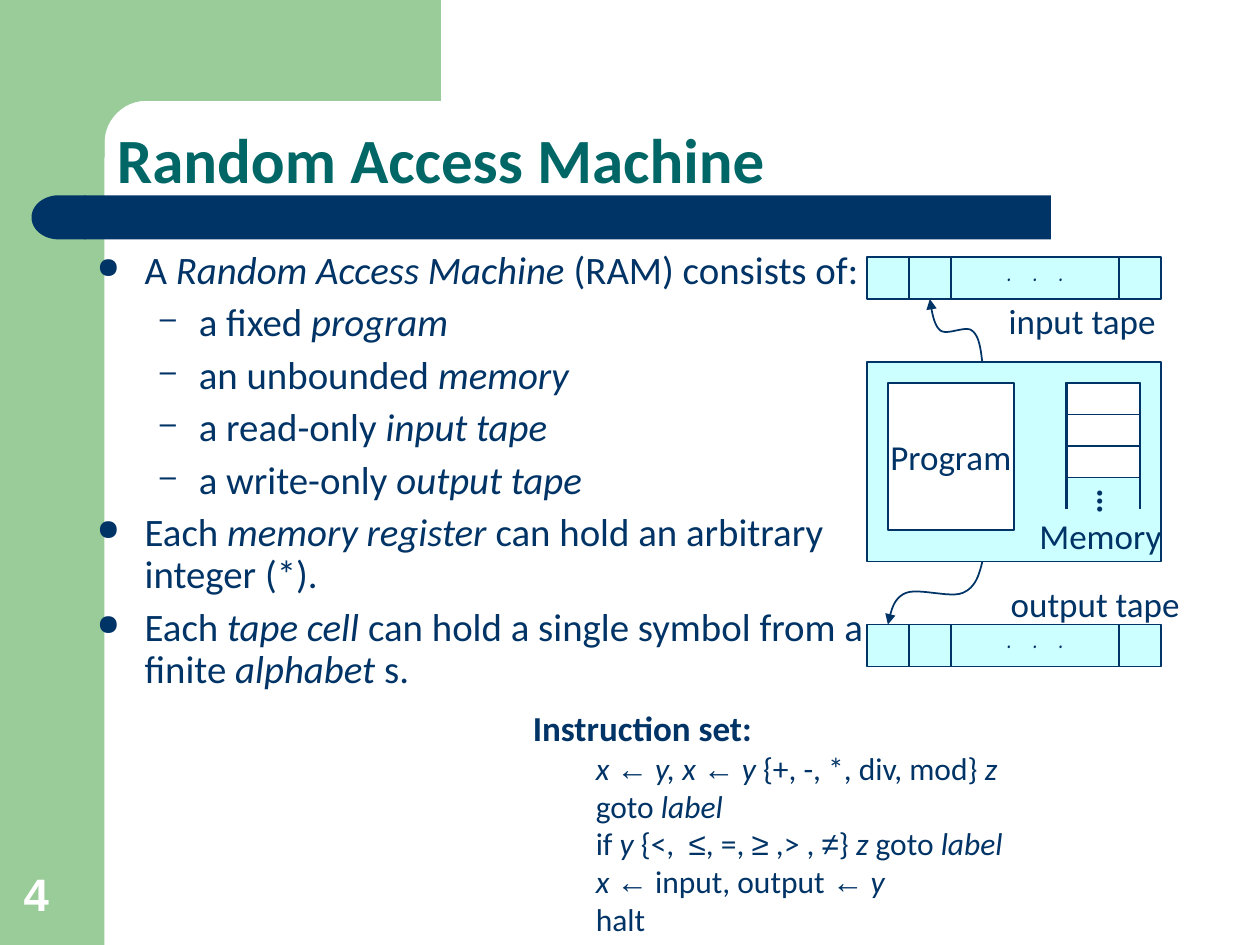
from itertools import groupby

from lxml.etree import SubElement
from pptx import Presentation
from pptx.dml.color import RGBColor
from pptx.enum.shapes import MSO_SHAPE as Shape
from pptx.enum.text import MSO_ANCHOR as Anchor, PP_ALIGN as Align
from pptx.oxml.ns import qn
from pptx.util import Inches, Pt

GREEN, NAVY, TEAL = "99CC99", "003366", "006666"
CYAN, WHITE = "CCFFFF", "FFFFFF"
SYMBOLS = "←≤≥≠"
ORIGIN_X, ORIGIN_Y, UNIT = 6.88, 2.04, 1 / 24

BULLETS = [
    (0, "A _Random Access Machine _(RAM) consists of:"),
    (1, "a fixed _program"),
    (1, "an unbounded _memory"),
    (1, "a read-only _input tape"),
    (1, "a write-only _output tape"),
    (0, "Each _memory register_ can hold an arbitrary integer (*)."),
    (0, "Each _tape cell_ can hold a single symbol from a finite _alphabet _s."),
]
BULLET_LEVELS = [("●", 0.38, -0.38), ("–", 0.81, -0.31)]
INSTRUCTIONS = [
    "_x _← _y, x _← _y _{+, -, *, div, mod} _z",
    "goto_ label",
    "if _y_ {<,  ≤, =, ≥ ,> , ≠} _z_ goto _label",
    "_x _← input, output ← _y",
    "halt",
]


def color(value):
    return RGBColor.from_string(value)


def grid(col, row, width, height):
    return (ORIGIN_X + col * UNIT, ORIGIN_Y + row * UNIT,
            width * UNIT, height * UNIT)


def grid_points(points):
    return [grid(col, row, 0, 0)[:2] for col, row in points]


def curve(points, steps=12):
    trace = [points[0]]
    for first in range(0, len(points) - 1, 3):
        knots = points[first:first + 4]
        for step in range(1, steps + 1):
            t = step / steps
            weights = ((1 - t) ** 3, 3 * t * (1 - t) ** 2,
                       3 * t * t * (1 - t), t ** 3)
            trace.append(tuple(sum(w * knot[axis] for w, knot in zip(weights, knots))
                               for axis in (0, 1)))
    return trace


def paint(shape, fill=None, line=None, weight=1):
    shape.shadow.inherit = False
    if fill:
        shape.fill.solid()
        shape.fill.fore_color.rgb = color(fill)
    else:
        shape.fill.background()
    if line:
        shape.line.color.rgb = color(line)
        shape.line.width = Pt(weight)
    else:
        shape.line.fill.background()
    return shape


def add_block(page, area, fill, line=None, kind=Shape.RECTANGLE):
    shape = page.shapes.add_shape(kind, *map(Inches, area))
    return paint(shape, fill, line)


def add_outline(page, points, fill=None, line=None, weight=1, arrow=False):
    corners = [(Inches(x), Inches(y)) for x, y in points]
    builder = page.shapes.build_freeform(*corners[0], scale=1.0)
    builder.add_line_segments(corners[1:], close=fill is not None)
    shape = paint(builder.convert_to_shape(), fill, line, weight)
    if arrow:
        SubElement(shape.line._get_or_add_ln(), qn("a:tailEnd"), type="triangle")


def indent(para, margin, hanging=0):
    props = para._p.get_or_add_pPr()
    props.set("marL", str(Inches(margin)))
    props.set("indent", str(Inches(hanging)))
    return props


def add_bullet(para, level):
    mark, margin, hanging = BULLET_LEVELS[level]
    props = indent(para, margin, hanging)
    tint = SubElement(props, qn("a:buClr"))
    SubElement(tint, qn("a:srgbClr"), val=NAVY)
    SubElement(props, qn("a:buSzPct"), val="75000")
    SubElement(props, qn("a:buChar"), char=mark)


def write(para, text, size, ink=NAVY, face="Calibri", bold=False):
    font = para.font
    font.size, font.bold, font.name = Pt(size), bold, face
    font.color.rgb = color(ink)
    for number, part in enumerate(text.split("_")):
        for symbolic, letters in groupby(part, lambda letter: letter in SYMBOLS):
            span = para.add_run()
            span.text = "".join(letters)
            if number % 2:
                span.font.italic = True
            if symbolic:
                span.font.name = "Arial"


def frame_text(shape, anchor=Anchor.TOP, margins=(0.1, 0.05, 0.1, 0.05), wrap=True):
    frame = shape.text_frame
    frame.word_wrap = wrap
    frame.vertical_anchor = anchor
    (frame.margin_left, frame.margin_top,
     frame.margin_right, frame.margin_bottom) = map(Inches, margins)
    return frame


def add_box(page, area, **layout):
    box = page.shapes.add_textbox(*map(Inches, area))
    return box, frame_text(box, **layout)


def add_label(page, area, text, align=Align.CENTER, turn=0, **style):
    box, frame = add_box(page, area, margins=(0, 0, 0, 0), wrap=False)
    box.rotation = turn
    para = frame.paragraphs[0]
    para.alignment = align
    write(para, text, **style)


def caption(shape, text, size, anchor, bottom=0.06, face="Calibri"):
    frame = frame_text(shape, anchor, (0.11, 0.06, 0.11, bottom), wrap=False)
    para = frame.paragraphs[0]
    para.alignment = Align.CENTER
    write(para, text, size, face=face)


def add_backdrop(page):
    add_block(page, (0, 0, 0.83, 7.5), GREEN)
    corner = curve([(1.16, 0.8), (0.98, 0.8), (0.83, 0.95), (0.83, 1.13)])
    add_outline(page, [(3.5, 0), (3.5, 0.8), *corner, (0.83, 1.25),
                       (0.5, 1.25), (0.5, 0)], GREEN)
    add_block(page, (0.67, 1.55, 7.67, 0.35), NAVY)
    cap = add_block(page, (0.25, 1.55, 0.43, 0.35), NAVY, kind=Shape.FLOWCHART_DELAY)
    cap.rotation = 180


def add_line_of_text(page, area, text, **style):
    box, frame = add_box(page, area, anchor=Anchor.BOTTOM)
    para = frame.paragraphs[0]
    para.line_spacing = 0.9
    write(para, text, bold=True, **style)


def add_bullets(page):
    box, frame = add_box(page, (0.67, 1.94, 6.83, 3.92))
    for number, (level, text) in enumerate(BULLETS):
        para = frame.add_paragraph() if number else frame.paragraphs[0]
        para.level = level
        add_bullet(para, level)
        para.line_spacing = 0.9
        para.space_before = Pt(6 if number else 0)
        write(para, text, 22.2)


def add_instructions(page):
    box, frame = add_box(page, (4.13, 5.56, 5.28, 1.94))
    write(frame.paragraphs[0], "Instruction set:", 20, bold=True)
    for text in INSTRUCTIONS:
        para = frame.add_paragraph()
        para.level = 1
        indent(para, 0.5)
        write(para, text, 18)


def add_tape(page, row):
    for col in (0, 8, 48):
        add_block(page, grid(col, row, 8, 8), CYAN, NAVY)
    middle = add_block(page, grid(16, row, 32, 8), CYAN, NAVY)
    caption(middle, ".  .  .", 18, Anchor.BOTTOM, bottom=0.09, face="Comic Neue")


def add_machine(page):
    add_block(page, grid(0, 20, 56, 38), CYAN, NAVY)
    program = add_block(page, grid(4, 24, 24, 28), WHITE, NAVY)
    caption(program, "Program", 20, Anchor.MIDDLE)
    for row in (24, 30, 36):
        add_block(page, grid(38, row, 14, 6), WHITE, NAVY)
    add_outline(page, grid_points([(38, 48), (38, 24), (52, 24), (52, 48)]),
                line=NAVY, weight=1.5)
    add_label(page, grid(31, 49, 27, 8), "Memory", size=20)
    add_label(page, grid(40, 43, 4.5, 7), "...", Align.LEFT, 270,
              size=18, face="Times New Roman", bold=True)


def add_heads(page):
    reading = [(22, 20), (21.7, 17.5), (21.4, 15), (20, 14), (18.8, 13),
               (15.4, 15), (14, 14), (12.8, 13), (12.4, 10.6), (12, 8)]
    writing = [(22, 58), (21.4, 60.5), (20.7, 63), (18.2, 64), (15.8, 65),
               (9.9, 63), (7.4, 64), (5, 65), (4.6, 67.5), (4, 70)]
    for knots in (reading, writing):
        add_outline(page, curve(grid_points(knots)), line=NAVY, arrow=True)


def main():
    deck = Presentation()
    deck.slide_width, deck.slide_height = Inches(10), Inches(7.5)
    page = deck.slides.add_slide(deck.slide_layouts[6])
    add_backdrop(page)
    add_line_of_text(page, (0.83, 0.52, 8.38, 1.09), "Random Access Machine",
                     size=36, ink=TEAL)
    add_bullets(page)
    add_machine(page)
    for row in (0, 70):
        add_tape(page, row)
    add_heads(page)
    add_label(page, grid(25, 62, 37, 8), "output tape", size=20)
    add_label(page, grid(27, 8, 32, 8), "input tape", Align.LEFT, size=20)
    add_instructions(page)
    add_line_of_text(page, (0.09, 6.83, 0.64, 0.53), "4", size=26, ink=WHITE, face="Arial")
    deck.save("out.pptx")


if __name__ == "__main__":
    main()
